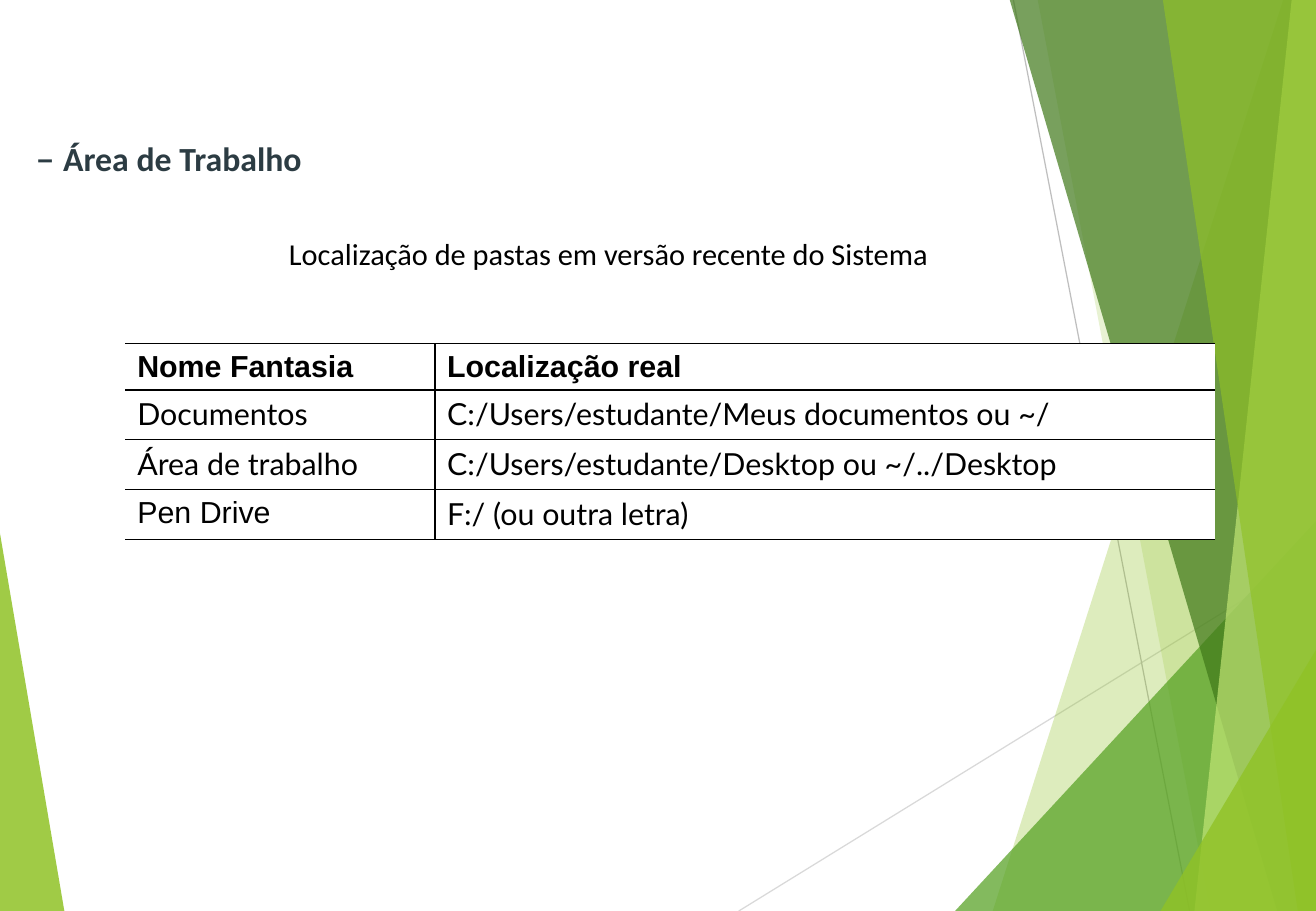
from pptx import Presentation
from pptx.dml.color import RGBColor
from pptx.enum.shapes import MSO_CONNECTOR
from pptx.enum.text import MSO_ANCHOR, PP_ALIGN
from pptx.oxml.ns import qn
from pptx.util import Inches, Pt
from lxml.etree import SubElement as Sub

WIDTH, HEIGHT = 10.83, 7.5


def rgb(code):
    return RGBColor.from_string(code)


class SlideBuilder:
    INK, HEADING, PAPER = "000000", "2C3C43", "FFFFFF"
    BODY_SIZE, HEADING_SIZE = 18, 20

    def __init__(self, slide):
        self.slide = slide
        self.shapes = slide.shapes

    def style(self, paragraph, size, color, font=None, bold=False):
        paragraph.font.size = Pt(size)
        paragraph.font.bold = bold
        paragraph.font.color.rgb = rgb(color)
        if font:
            paragraph.font.name = font

    def facet(self, points, color, opacity):
        (x, y), *rest = points
        builder = self.shapes.build_freeform(Inches(x), Inches(y), scale=1.0)
        builder.add_line_segments([(Inches(a), Inches(b)) for a, b in rest])
        shape = builder.convert_to_shape()
        shape.shadow.inherit = False
        shape.fill.solid()
        shape.fill.fore_color.rgb = rgb(color)
        shape.line.fill.background()
        fill_color = shape.fill._xPr.find(qn("a:solidFill"))[0]
        Sub(fill_color, qn("a:alpha"), val=str(opacity * 1000))

    def line(self, start, end, color):
        ends = [Inches(v) for v in (*start, *end)]
        connector = self.shapes.add_connector(MSO_CONNECTOR.STRAIGHT, *ends)
        connector.line.color.rgb = rgb(color)
        connector.line.width = Pt(0.75)
        Sub(connector._element.spPr, qn("a:effectLst"))

    def title(self, box, parts):
        title = self.shapes.title
        title.left, title.top, title.width, title.height = map(Inches, box)
        frame = title.text_frame
        frame.vertical_anchor = MSO_ANCHOR.MIDDLE
        paragraph = frame.paragraphs[0]
        paragraph.alignment = PP_ALIGN.LEFT
        self.style(paragraph, self.HEADING_SIZE, self.HEADING, bold=True)
        for text, font in parts:
            run = paragraph.add_run()
            run.text = text
            run.font.name = font

    def caption(self, box, text, font):
        frame = self.shapes.add_textbox(*map(Inches, box)).text_frame
        frame.word_wrap = True
        frame.text = text
        self.style(frame.paragraphs[0], self.BODY_SIZE, self.INK, font)

    def border(self, cell, side, visible):
        edge = Sub(cell._tc.get_or_add_tcPr(), qn("a:ln" + side), w=str(Pt(1)))
        if visible:
            Sub(Sub(edge, qn("a:solidFill")), qn("a:srgbClr"), val=self.INK)
        else:
            Sub(edge, qn("a:noFill"))

    def table(self, box, widths, heights, rows):
        frame = self.shapes.add_table(len(rows), len(widths), *map(Inches, box))
        table = frame.table
        table.first_row = table.horz_banding = False
        for column, width in zip(table.columns, widths):
            column.width = Inches(width)
        for r, (row, height) in enumerate(zip(rows, heights)):
            table.rows[r].height = Inches(height)
            for c, (text, font) in enumerate(row):
                cell = table.cell(r, c)
                # Rules above and below, and between columns only
                self.border(cell, "L", c > 0)
                self.border(cell, "R", c < len(row) - 1)
                self.border(cell, "T", True)
                self.border(cell, "B", True)
                cell.fill.solid()
                cell.fill.fore_color.rgb = rgb(self.PAPER)
                cell.text = text
                self.style(cell.text_frame.paragraphs[0], self.BODY_SIZE,
                           self.INK, font, bold=r == 0)


prs = Presentation()
prs.slide_width, prs.slide_height = Inches(WIDTH), Inches(HEIGHT)
page = SlideBuilder(prs.slides.add_slide(prs.slide_layouts[5]))

# Decoration: left wedge, thin lines, then the overlapping right facets
LIME, GREEN, FOREST, PALE = "90C226", "54A021", "3F7819", "C0E474"
TOP_RIGHT, BOTTOM_RIGHT = (WIDTH, 0), (WIDTH, HEIGHT)
page.facet([(0, 4.39), (0.53, HEIGHT), (0, HEIGHT)], LIME, 85)
page.line((6.08, HEIGHT), (WIDTH, 4.57), "D9D9D9")
page.line((8.34, 0), (9.79, HEIGHT), "BFBFBF")
right_facets = [
    # top-left corner, bottom-left corner, right edge start, colour, opacity
    ((10.56, 0), (8.17, HEIGHT), TOP_RIGHT, LIME, 30),
    ((8.54, 0), (9.96, HEIGHT), TOP_RIGHT, LIME, 20),
    (None, (7.86, HEIGHT), (WIDTH, 4.29), GREEN, 72),
    ((8.31, 0), (10.51, HEIGHT), TOP_RIGHT, FOREST, 70),
    ((10.63, 0), (9.83, HEIGHT), TOP_RIGHT, PALE, 70),
    ((9.57, 0), (10.68, HEIGHT), TOP_RIGHT, LIME, 65),
    (None, (9.55, HEIGHT), (WIDTH, 5.35), LIME, 80),
]
for top, bottom, edge, color, opacity in right_facets:
    corners = [top, bottom, BOTTOM_RIGHT, edge]
    page.facet([corner for corner in corners if corner], color, opacity)

# Heading
page.title((0.19, 1.05, 10.64, 0.5),
           [("– ", "Lato"), ("Área de Trabalho", "Calibri")])

# Folder locations
page.table((1.03, 2.83, 8.97, 1.61), [2.55, 6.42], [0.38] + [0.41] * 3, [
    [("Nome Fantasia", "Arial"), ("Localização real", "Arial")],
    [("Documentos", "Lato"),
     ("C:/Users/estudante/Meus documentos ou ~/", "Lato")],
    [("Área de trabalho", "Lato"),
     ("C:/Users/estudante/Desktop ou ~/../Desktop", "Lato")],
    [("Pen Drive", "Arial"), ("F:/ (ou outra letra)", "Lato")],
])
page.caption((2.28, 1.89, 6.53, 0.4),
             "Localização de pastas em versão recente do Sistema", "Calibri")

prs.save("out.pptx")
